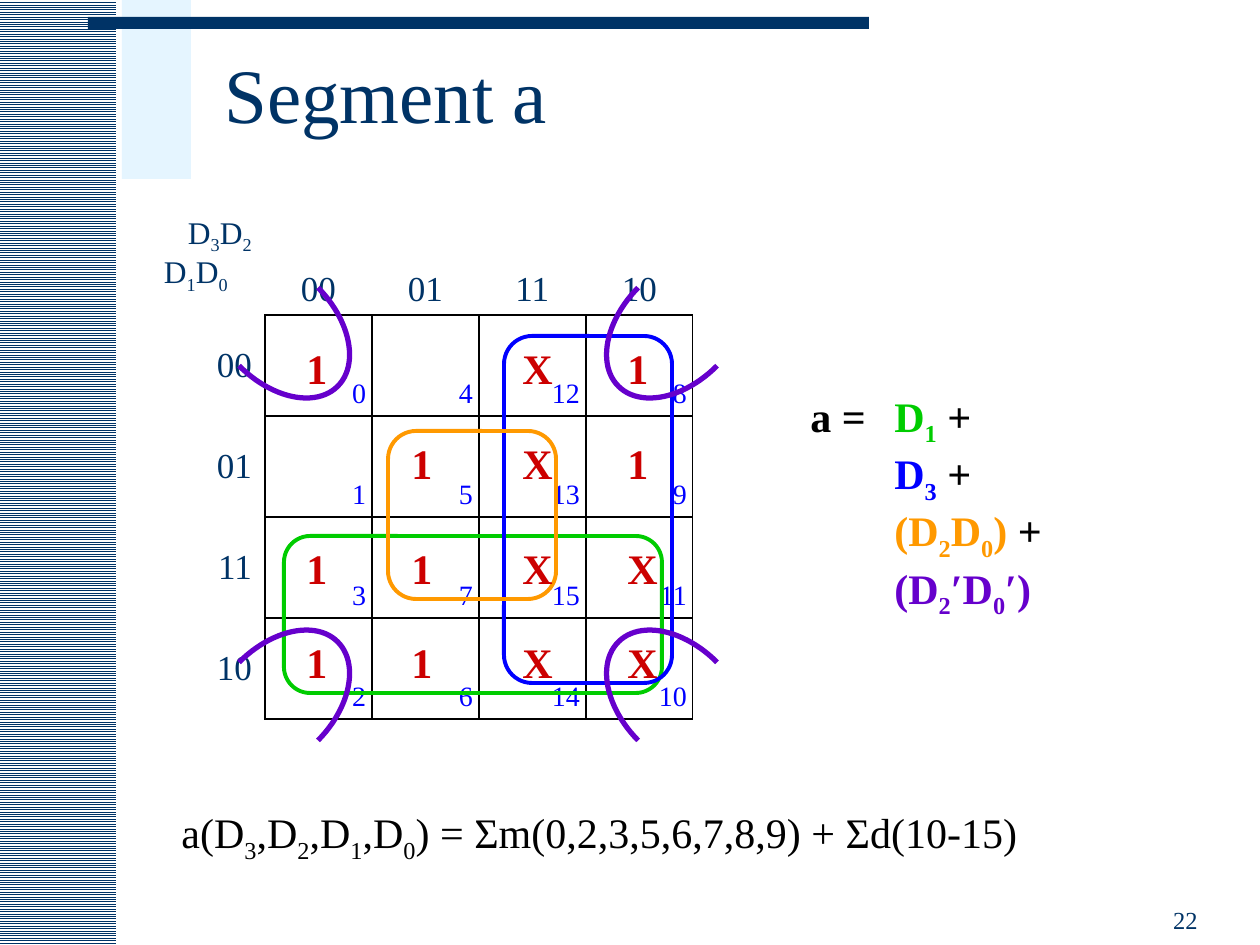
from dataclasses import dataclass
from itertools import product

from lxml.etree import SubElement
from pptx import Presentation
from pptx.dml.color import RGBColor as Rgb
from pptx.enum.dml import MSO_PATTERN as Pat
from pptx.enum.shapes import MSO_SHAPE as Kind
from pptx.enum.text import MSO_ANCHOR as Anchor, PP_ALIGN as Align
from pptx.oxml.ns import qn
from pptx.util import Emu, Pt


@dataclass(frozen=True)
class Theme:
    font: str = "Times New Roman"
    navy: str = "003366"
    pale: str = "CCECFF"
    white: str = "FFFFFF"
    black: str = "000000"
    red: str = "CC0000"
    green: str = "00CC00"
    blue: str = "0000FF"
    orange: str = "FF9900"
    purple: str = "6600CC"
    title: int = 44
    body: int = 24
    head: int = 20
    axis: int = 18
    index: int = 16
    page: int = 14


@dataclass(frozen=True)
class Box:
    x: int
    y: int
    w: int
    h: int


@dataclass(frozen=True)
class Loop:
    box: Box
    color: str


T = Theme()
CODES = ["00", "01", "11", "10"]
MAP = ["1 X1", " 1X1", "11XX", "11XX"]
MARK_X = [294, 399, 510, 615]
MARK_Y = [336, 431, 536, 630]
INDEX = [[0, 4, 12, 8], [1, 5, 13, 9], [3, 7, 15, 11], [2, 6, 14, 10]]
LOOPS = [
    Loop(Box(284, 536, 378, 157), T.green),
    Loop(Box(504, 336, 168, 347), T.blue),
    Loop(Box(388, 431, 168, 168), T.orange),
]


def px(n: int) -> Emu:
    return Emu(round(n * 914400 / 126))


def place(box: Box) -> tuple:
    return px(box.x), px(box.y), px(box.w), px(box.h)


def write(para, parts: list, size: int, bold: bool = False) -> None:
    """Parts are (text, colour); "_" lowers the next letter, "\\n" breaks the line."""
    para.font.name, para.font.size, para.font.bold = T.font, Pt(size), bold
    if len({color for _, color in parts}) == 1:
        para.font.color.rgb = Rgb.from_string(parts[0][1])

    def add(text: str, color: str, low: bool = False) -> None:
        if not text:
            return
        run = para.add_run()
        run.text = text
        if len(parts) > 1:
            run.font.color.rgb = Rgb.from_string(color)
        if low:
            run.font._element.set("baseline", "-25000")

    for text, color in parts:
        for row, line in enumerate(text.split("\n")):
            if row:
                para.add_line_break()
            first, *rest = line.split("_")
            add(first, color)
            for piece in rest:
                add(piece[0], color, True)
                add(piece[1:], color)


def indent(para, left: int, first: int) -> None:
    props = para._p.get_or_add_pPr()
    props.set("marL", str(px(left)))
    props.set("indent", str(px(first)))


def label(shapes, box: Box, parts: list, size: int, bold: bool = False,
          anchor=Anchor.TOP, align=Align.LEFT, space: float = 1.0):
    frame = shapes.add_textbox(*place(box)).text_frame
    frame.word_wrap = True
    frame.vertical_anchor = anchor
    para = frame.paragraphs[0]
    para.alignment, para.line_spacing = align, space
    write(para, parts, size, bold)
    return para


def block(shapes, kind, box: Box):
    shape = shapes.add_shape(kind, *place(box))
    shape.shadow.inherit = False
    return shape


def outline(shapes, kind, box: Box, color: str, width: float):
    shape = block(shapes, kind, box)
    shape.fill.background()
    shape.line.color.rgb = Rgb.from_string(color)
    shape.line.width = Pt(width)
    return shape


def border(cell, sides: str) -> None:
    props = cell._tc.get_or_add_tcPr()
    for side in sides:
        line = SubElement(props, qn(f"a:ln{side}"), w=str(Pt(1)))
        fill = SubElement(line, qn("a:solidFill"))
        SubElement(fill, qn("a:srgbClr"), val=T.black)


def fill_cell(cell, text: str, size: int, color: str, align, anchor,
              sides: str = "", right: int = 6):
    cell.margin_left = cell.margin_top = cell.margin_bottom = px(6)
    cell.margin_right = px(right)
    cell.vertical_anchor = anchor
    border(cell, sides)
    cell.fill.background()
    para = cell.text_frame.paragraphs[0]
    para.alignment, para.space_before = align, Pt(size * 0.2)
    write(para, [(text, color)], size)
    return para


def draw_map(shapes) -> None:
    table = shapes.add_table(5, 5, *place(Box(158, 210, 535, 509))).table
    table.first_row = table.horz_banding = False
    style = table._tbl.tblPr.find(qn("a:tableStyleId"))
    style.text = "{2D5ABB26-0587-4C30-8999-92F81FD0307C}"
    for col in table.columns:
        col.width = px(107)
    for n, row in enumerate(table.rows):
        row.height = px(101 if n else 105)
    corner = fill_cell(table.cell(0, 0), "D_3D_2\nD_1D_0", T.axis, T.navy,
                       Align.LEFT, Anchor.TOP)
    indent(corner, 0, 24)
    for n, code in enumerate(CODES, 1):
        fill_cell(table.cell(0, n), code, T.head, T.navy, Align.CENTER,
                  Anchor.BOTTOM, "B")
        fill_cell(table.cell(n, 0), code, T.head, T.navy, Align.RIGHT,
                  Anchor.MIDDLE, "R", 13)
    for r, c in product(range(4), repeat=2):
        fill_cell(table.cell(r + 1, c + 1), str(INDEX[r][c]), T.index, T.blue,
                  Align.RIGHT, Anchor.BOTTOM, "LRTB")


def draw_marks(shapes, glyph: str, width: int) -> None:
    group = shapes.add_group_shape().shapes
    for r, c in product(range(4), repeat=2):
        if MAP[r][c] == glyph:
            label(group, Box(MARK_X[c], MARK_Y[r], width, 63),
                  [(glyph, T.red)], T.body, True)


def draw_arcs(shapes) -> None:
    group = shapes.add_group_shape().shapes
    for right, top in product((False, True), repeat=2):
        box = Box(606 if right else 266, 301 if top else 616, 84, 111)
        arc = outline(group, Kind.LEFT_BRACKET, box, T.purple, 3)
        arc.adjustments[0] = 0.66
        arc.rotation = 134.7 if right == top else 225.3
        frame = arc._element.spPr.find(qn("a:xfrm"))
        frame.set("flipH", str(int(right)))
        frame.set("flipV", str(int(top)))


deck = Presentation()
deck.slide_width, deck.slide_height = px(1260), px(945)
shapes = deck.slides.add_slide(deck.slide_layouts[6]).shapes

# Side stripes, pale panel and top bar
side = block(shapes, Kind.RECTANGLE, Box(0, 0, 116, 945))
side.fill.patterned()
side.fill.pattern = Pat.LIGHT_HORIZONTAL
side.fill.fore_color.rgb = Rgb.from_string(T.navy)
side.fill.back_color.rgb = Rgb.from_string(T.white)
side.line.fill.background()
for box, color in [(Box(122, 0, 69, 179), T.pale), (Box(88, 17, 781, 12), T.navy)]:
    bar = block(shapes, Kind.RECTANGLE, box)
    bar.fill.solid()
    bar.fill.fore_color.rgb = Rgb.from_string(color)
    bar.line.fill.background()
    if color == T.pale:
        tint = bar._element.spPr.find(f".//{qn('a:srgbClr')}")
        SubElement(tint, qn("a:alpha"), val="50000")

# Page number and title
label(shapes, Box(908, 878, 302, 63), [("22", T.navy)], T.page,
      anchor=Anchor.BOTTOM, align=Align.RIGHT)
label(shapes, Box(212, 21, 1017, 158), [("Segment a", T.navy)], T.title,
      anchor=Anchor.MIDDLE, space=0.85)

# Karnaugh map with its sum of terms
draw_map(shapes)
label(shapes, Box(169, 772, 877, 79),
      [("a(D_3,D_2,D_1,D_0) = Σm(0,2,3,5,6,7,8,9) + Σd(10-15)", T.black)],
      T.body, space=1.5)
draw_marks(shapes, "1", 47)
for loop in LOOPS:
    outline(shapes, Kind.ROUNDED_RECTANGLE, loop.box, loop.color, 2.25)

# Reduced equation, one colour per loop
terms = label(shapes, Box(756, 384, 316, 217), [
    ("a =\t", T.black), ("D_1", T.green), (" +\n", T.black),
    ("D_3", T.blue), (" +\n", T.black), ("(D_2D_0)", T.orange),
    (" +\n", T.black), ("(D_2′D_0′)", T.purple)], T.body, True)
indent(terms, 126, -84)
draw_marks(shapes, "X", 57)
draw_arcs(shapes)

deck.save("out.pptx")
